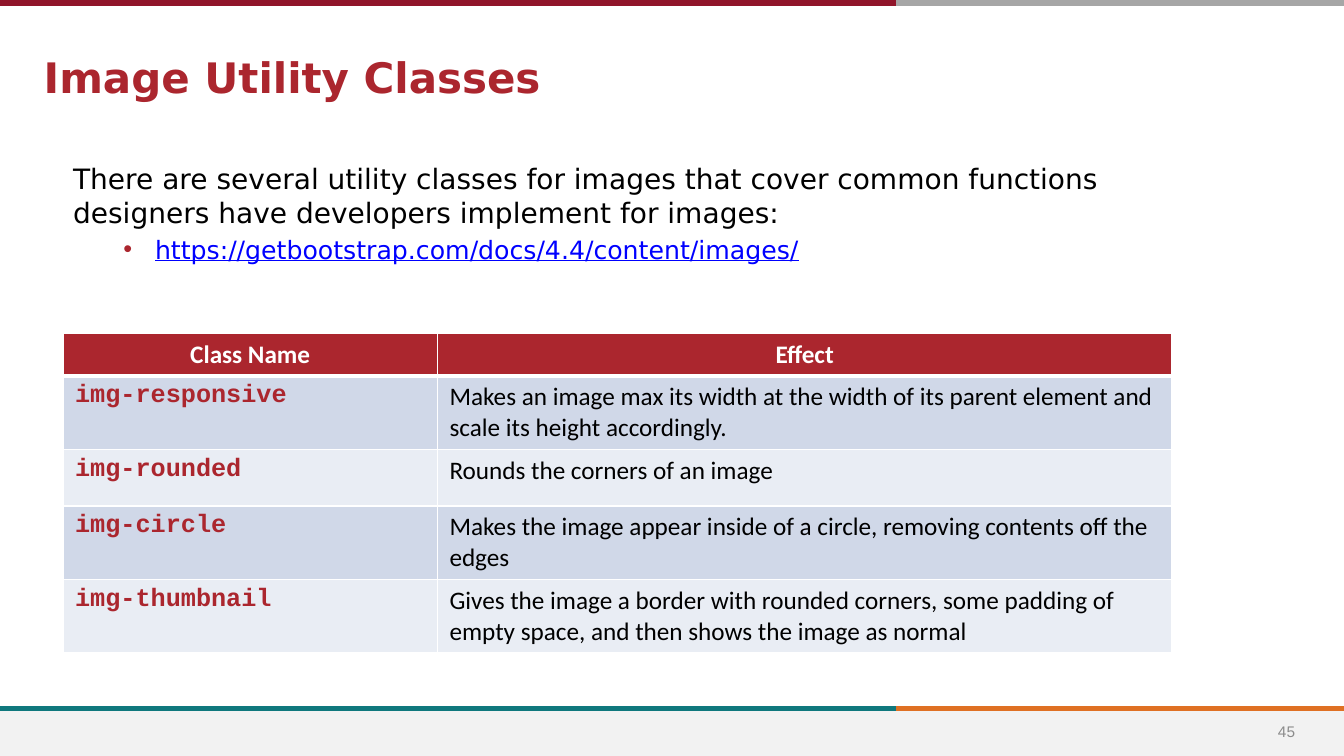
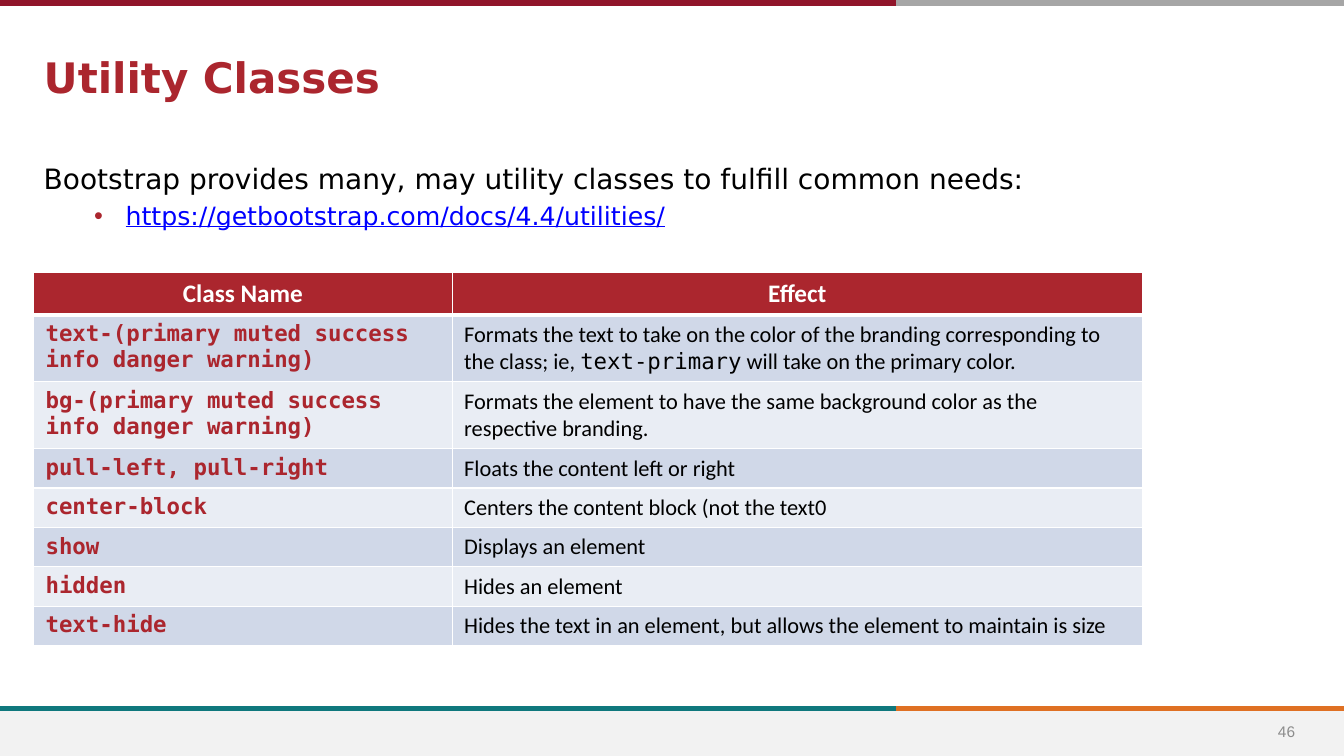
from collections import namedtuple

from lxml.etree import SubElement
from pptx import Presentation
from pptx.dml.color import RGBColor
from pptx.enum.shapes import MSO_CONNECTOR as Connector, MSO_SHAPE as Shape
from pptx.enum.text import MSO_ANCHOR as Anchor, MSO_AUTO_SIZE as AutoSize, PP_ALIGN as Align
from pptx.oxml.ns import qn
from pptx.util import Pt

Box = namedtuple("Box", "left top width height")

COLORS = {
    "red": "AB262E", "dark_red": "90152A", "gray": "A6A6A6", "teal": "0F787D",
    "orange": "DF7023", "footer": "F2F2F2", "number": "8C8C8C", "link": "0000FF",
    "black": "000000", "white": "FFFFFF", "odd_row": "D0D8E8", "even_row": "E9EDF4",
}
FORMATS = {
    "title": {"name": "DejaVu Sans", "size": Pt(30), "bold": True, "color": "red"},
    "intro": {"name": "DejaVu Sans", "size": Pt(20), "color": "black"},
    "link": {"name": "DejaVu Sans", "size": Pt(18), "underline": True, "color": "link"},
    "number": {"name": "Arial", "size": Pt(11), "color": "number"},
    "header": {"name": "Calibri", "size": Pt(18), "bold": True, "color": "white"},
    "class": {"bold": True, "color": "red"},
    "effect": {"name": "Calibri", "bold": False, "color": "black"},
}
WIDTH, HEIGHT = 960, 540
SPLIT = 640
RULE_WIDTH = 4
TITLE_BOX = Box(24, 33, 773, 43)
NUMBER_BOX = Box(894, 508, 50, 29)
FOOTER_BOX = Box(0, 508, WIDTH, 32)
HEADINGS = ("Class Name", "Effect")

PAGES = [
    {
        "number": 45,
        "title": "Image Utility Classes",
        "intro": "There are several utility classes for images that cover common "
                 "functions designers have developers implement for images:",
        "link": "https://getbootstrap.com/docs/4.4/content/images/",
        "body_box": Box(45, 112, 792, 317),
        "table_box": Box(45, 238, 792, 185.5),
        "class_width": 267.5, "row_height": 40.3,
        "code_font": "Courier New", "size": 18,
        "rows": [
            ("img-responsive", "Makes an image max its width at the width of its parent "
                               "element and scale its height accordingly."),
            ("img-rounded", "Rounds the corners of an image"),
            ("img-circle", "Makes the image appear inside of a circle, removing contents "
                           "off the edges"),
            ("img-thumbnail", "Gives the image a border with rounded corners, some padding "
                              "of empty space, and then shows the image as normal"),
        ],
    },
    {
        "number": 46,
        "title": "Utility Classes",
        "intro": "Bootstrap provides many, may utility classes to fulfill common needs:",
        "link": "https://getbootstrap.com/docs/4.4/utilities/",
        "body_box": Box(24, 112, 792, 317),
        "table_box": Box(24, 194.5, 792, 196),
        "class_width": 299, "row_height": 24.5,
        "code_font": "DejaVu Sans Mono", "size": 16,
        "rows": [
            ("text-(primary muted success info danger warning)",
             "Formats the text to take on the color of the branding corresponding to the "
             "class; ie, `text-primary` will take on the primary color."),
            ("bg-(primary muted success info danger warning)",
             "Formats the element to have the same background color as the respective "
             "branding."),
            ("pull-left, pull-right", "Floats the content left or right"),
            ("center-block", "Centers the content block (not the text0"),
            ("show", "Displays an element"),
            ("hidden", "Hides an element"),
            ("text-hide", "Hides the text in an element, but allows the element to "
                          "maintain is size"),
        ],
    },
]


def rgb(color):
    return RGBColor.from_string(COLORS[color])


def in_points(box):
    return [Pt(length) for length in box]


def move(shape, box):
    for name, length in zip(Box._fields, in_points(box)):
        setattr(shape, name, length)


def add_span(para, text, style, **changes):
    span = para.add_run()
    span.text = text
    for name, value in {**FORMATS[style], **changes}.items():
        if name == "color":
            span.font.color.rgb = rgb(value)
        else:
            setattr(span.font, name, value)


def set_bullet(para, margin=0, indent=0, char=None):
    props = para._p.get_or_add_pPr()
    props.set("marL", str(Pt(margin)))
    props.set("indent", str(Pt(indent)))
    if char is None:
        SubElement(props, qn("a:buNone"))
        return
    color = SubElement(props, qn("a:buClr"))
    SubElement(color, qn("a:srgbClr"), val=COLORS["red"])
    SubElement(props, qn("a:buFont"), typeface="Arial")
    SubElement(props, qn("a:buChar"), char=char)


def add_rule(page, start, end, y, color):
    rule = page.shapes.add_connector(Connector.STRAIGHT, Pt(start), Pt(y), Pt(end), Pt(y))
    rule.line.color.rgb = rgb(color)
    rule.line.width = Pt(RULE_WIDTH)
    SubElement(rule.element.spPr, qn("a:effectLst"))
    return rule


def dress_layout(layout, page):
    """Make the bands on a page and move them to its layout, which all pages share."""
    for holder in list(layout.placeholders):
        if holder.placeholder_format.idx >= 10:
            holder.element.getparent().remove(holder.element)
    footer = page.shapes.add_shape(Shape.RECTANGLE, *in_points(FOOTER_BOX))
    footer.shadow.inherit = False
    footer.fill.solid()
    footer.fill.fore_color.rgb = rgb("footer")
    footer.line.fill.background()
    bands = [footer]
    for y, left_color, right_color in (
        (FOOTER_BOX.top - RULE_WIDTH / 2, "teal", "orange"),
        (RULE_WIDTH / 2, "dark_red", "gray"),
    ):
        bands.append(add_rule(page, SPLIT, WIDTH, y, right_color))
        bands.append(add_rule(page, 0, SPLIT, y, left_color))
    for band in bands:
        layout.shapes.element.append(band.element)


def fill_title(page, text, box):
    title = page.shapes.title
    move(title, box)
    frame = title.text_frame
    frame.auto_size = AutoSize.NONE
    frame.vertical_anchor = Anchor.TOP
    frame.paragraphs[0].alignment = Align.LEFT
    add_span(frame.paragraphs[0], text, "title")


def fill_body(page, intro, link, box):
    body = page.placeholders[1]
    move(body, box)
    frame = body.text_frame
    frame.auto_size = AutoSize.NONE
    para = frame.paragraphs[0]
    set_bullet(para)
    add_span(para, intro, "intro")
    para = frame.add_paragraph()
    para.level = 1
    set_bullet(para, 58.5, -22.5, "•")
    add_span(para, link, "link")


def add_number(page, number, box):
    frame = page.shapes.add_textbox(*in_points(box)).text_frame
    frame.word_wrap = True
    frame.vertical_anchor = Anchor.MIDDLE
    frame.paragraphs[0].alignment = Align.CENTER
    add_span(frame.paragraphs[0], str(number), "number")


def style_cell(cell, color, top=1, bottom=1):
    """Set margins, fill and white borders; top and bottom are border widths."""
    cell.margin_left = cell.margin_right = Pt(8.6)
    cell.margin_top = cell.margin_bottom = Pt(4.3)
    cell.vertical_anchor = Anchor.TOP
    props = cell._tc.get_or_add_tcPr()
    for side, width in {"L": 1, "R": 1, "T": top, "B": bottom}.items():
        border = SubElement(props, qn(f"a:ln{side}"), w=str(Pt(width)))
        fill = SubElement(border, qn("a:solidFill"))
        SubElement(fill, qn("a:srgbClr"), val=COLORS["white"])
    cell.fill.solid()
    cell.fill.fore_color.rgb = rgb(color)


def add_class_table(page, content, box):
    rows = content["rows"]
    table = page.shapes.add_table(len(rows) + 1, 2, *in_points(box)).table
    table.horz_banding = False
    class_width = content["class_width"]
    for column, width in zip(table.columns, (class_width, box.width - class_width)):
        column.width = Pt(width)
    for row in table.rows:
        row.height = Pt(content["row_height"])
    table.rows[0].height = Pt(24.5)

    for cell, heading in zip(table.rows[0].cells, HEADINGS):
        style_cell(cell, "red", bottom=3)
        para = cell.text_frame.paragraphs[0]
        para.alignment = Align.CENTER
        add_span(para, heading, "header")

    size = Pt(content["size"])
    code = {"name": content["code_font"], "size": size}
    for index, (class_name, effect) in enumerate(rows, 1):
        cells = table.rows[index].cells
        for cell in cells:
            style_cell(cell, "odd_row" if index % 2 else "even_row",
                       top=3 if index == 1 else 1)
        class_para, effect_para = (cell.text_frame.paragraphs[0] for cell in cells)
        add_span(class_para, class_name, "class", **code)
        for part, text in enumerate(effect.split("`")):
            changes = code if part % 2 else {"size": size}
            add_span(effect_para, text, "effect", **changes)


def add_page(deck, layout, content):
    page = deck.slides.add_slide(layout)
    if len(deck.slides) == 1:
        dress_layout(layout, page)
    fill_title(page, content["title"], TITLE_BOX)
    fill_body(page, content["intro"], content["link"], content["body_box"])
    add_class_table(page, content, content["table_box"])
    add_number(page, content["number"], NUMBER_BOX)


def main():
    deck = Presentation()
    deck.slide_width, deck.slide_height = Pt(WIDTH), Pt(HEIGHT)
    layout = deck.slide_layouts[1]
    for content in PAGES:
        add_page(deck, layout, content)
    deck.save("out.pptx")


if __name__ == "__main__":
    main()
